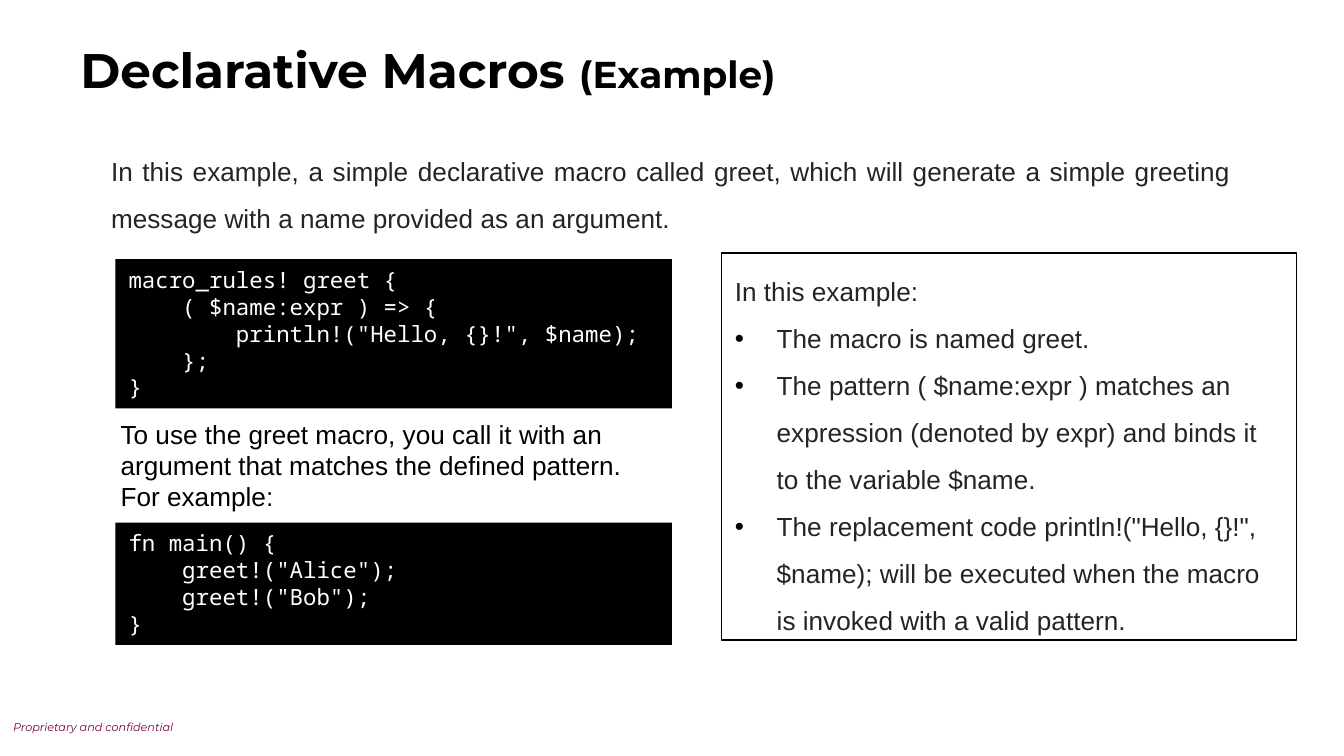
from dataclasses import dataclass

from lxml import etree
from pptx import Presentation
from pptx.dml.color import RGBColor
from pptx.enum import shapes, text
from pptx.oxml.ns import qn
from pptx.util import Cm, Pt


@dataclass(frozen=True)
class Theme:
    black: str = "000000"
    white: str = "FFFFFF"
    ink: str = "242424"
    accent: str = "770046"
    heading_font: str = "Montserrat"
    body_font: str = "Arial"
    code_font: str = "Noto Sans Mono"
    title_size: float = 26
    subtitle_size: float = 20
    body_size: float = 14
    code_size: float = 12
    footer_size: float = 6
    line_width: float = 0.75
    loose: float = 1.5


THEME = Theme()

MACRO_CODE = """macro_rules! greet {
    ( $name:expr ) => {
        println!("Hello, {}!", $name);
    };
}"""
CALL_CODE = """fn main() {
    greet!("Alice");
    greet!("Bob");
}"""
INTRO = ("In this example, a simple declarative macro called greet, which will generate "
         "a simple greeting message with a name provided as an argument.")
USAGE = ("To use the greet macro, you call it with an argument that matches "
         "the defined pattern. For example:")
NOTES = [
    "The macro is named greet.",
    "The pattern ( $name:expr ) matches an expression (denoted by expr) "
    "and binds it to the variable $name.",
    'The replacement code println!("Hello, {}!", $name); will be executed '
    "when the macro is invoked with a valid pattern.",
]


def add_span(para, words, font, size, color, bold=False, italic=False):
    span = para.add_run()
    span.text = words
    span.font.name = font
    span.font.size = Pt(size)
    span.font.color.rgb = RGBColor.from_string(color)
    span.font.bold = bold
    span.font.italic = italic


def set_frame(shape, grow=True, inset=(0.25, 0.13)):
    """Wrap the text, anchor it at the top and return the text frame."""
    frame = shape.text_frame
    frame.word_wrap = True
    frame.auto_size = (text.MSO_AUTO_SIZE.SHAPE_TO_FIT_TEXT if grow
                       else text.MSO_AUTO_SIZE.NONE)
    frame.vertical_anchor = text.MSO_ANCHOR.TOP
    frame.margin_left = frame.margin_right = Cm(inset[0])
    frame.margin_top = frame.margin_bottom = Cm(inset[1])
    return frame


def add_text_frame(page, box, **options):
    return set_frame(page.shapes.add_textbox(*map(Cm, box)), **options)


def add_panel(page, box, fill=None, line=None):
    panel = page.shapes.add_shape(shapes.MSO_SHAPE.RECTANGLE, *map(Cm, box))
    panel.shadow.inherit = False
    if fill:
        panel.fill.solid()
        panel.fill.fore_color.rgb = RGBColor.from_string(fill)
    else:
        panel.fill.background()
    if line:
        panel.line.color.rgb = RGBColor.from_string(line)
        panel.line.width = Pt(THEME.line_width)
    else:
        panel.line.fill.background()
    return set_frame(panel)


def add_paragraphs(frame, count):
    """Return count left-aligned paragraphs, the first being the one in place."""
    paras = [frame.paragraphs[0]] + [frame.add_paragraph() for _ in range(count - 1)]
    for para in paras:
        para.alignment = text.PP_ALIGN.LEFT
    return paras


def add_bullet(para, indent=0.79):
    props = para._p.get_or_add_pPr()
    props.set("marL", str(Cm(indent)))
    props.set("indent", str(-Cm(indent)))
    color = etree.SubElement(props, qn("a:buClr"))
    etree.SubElement(color, qn("a:srgbClr"), val=THEME.black)
    etree.SubElement(props, qn("a:buFont"), typeface=THEME.body_font)
    etree.SubElement(props, qn("a:buChar"), char="•")


def add_footer(page, box):
    para = add_text_frame(page, box, inset=(0.25, 0.25)).paragraphs[0]
    add_span(para, "Proprietary and confidential", THEME.heading_font,
             THEME.footer_size, THEME.accent, italic=True)


def add_title(page, box):
    para = add_text_frame(page, box, grow=False, inset=(0.1, 0.1)).paragraphs[0]
    for words, size in (("Declarative Macros ", THEME.title_size),
                        ("(Example)", THEME.subtitle_size)):
        add_span(para, words, THEME.heading_font, size, THEME.black, bold=True)


def add_intro(page, box):
    para = add_text_frame(page, box).paragraphs[0]
    para.alignment = text.PP_ALIGN.JUSTIFY
    para.line_spacing = THEME.loose
    add_span(para, INTRO, THEME.body_font, THEME.body_size, THEME.ink)


def add_code(page, box, code):
    lines = code.splitlines()
    frame = add_panel(page, box, fill=THEME.black)
    for para, line in zip(add_paragraphs(frame, len(lines)), lines):
        add_span(para, line, THEME.code_font, THEME.code_size, THEME.white)


def add_walkthrough(page, box):
    """Macro definition, usage sentence and calling code, stacked in the box."""
    left, top, width, height = box
    macro_height, call_height, nudge = 2.82, 2.31, 0.15
    call_top = top + height - call_height
    add_code(page, (left, top, width, macro_height), MACRO_CODE)
    add_code(page, (left, call_top, width, call_height), CALL_CODE)
    usage_box = (left - nudge, top + macro_height + 0.05, width + nudge, 2.06)
    para = add_text_frame(page, usage_box).paragraphs[0]
    add_span(para, USAGE, THEME.body_font, THEME.body_size, THEME.black)


def add_notes_panel(page, box):
    lines = ["In this example:", *NOTES]
    frame = add_panel(page, box, line=THEME.black)
    for index, para in enumerate(add_paragraphs(frame, len(lines))):
        para.line_spacing = THEME.loose
        if index:
            add_bullet(para)
        add_span(para, lines[index], THEME.body_font, THEME.body_size, THEME.ink)


def main():
    deck = Presentation()
    deck.slide_width, deck.slide_height = Cm(25.4), Cm(14.29)
    page = deck.slides.add_slide(deck.slide_layouts[6])
    add_footer(page, (0, 13.49, 4.65, 0.76))
    add_title(page, (1.42, 0.66, 17.65, 1.3))
    add_intro(page, (1.85, 2.51, 21.67, 2.06))
    add_walkthrough(page, (2.18, 4.9, 10.52, 7.29))
    add_notes_panel(page, (13.64, 4.78, 10.87, 7.32))
    deck.save("out.pptx")


if __name__ == "__main__":
    main()
